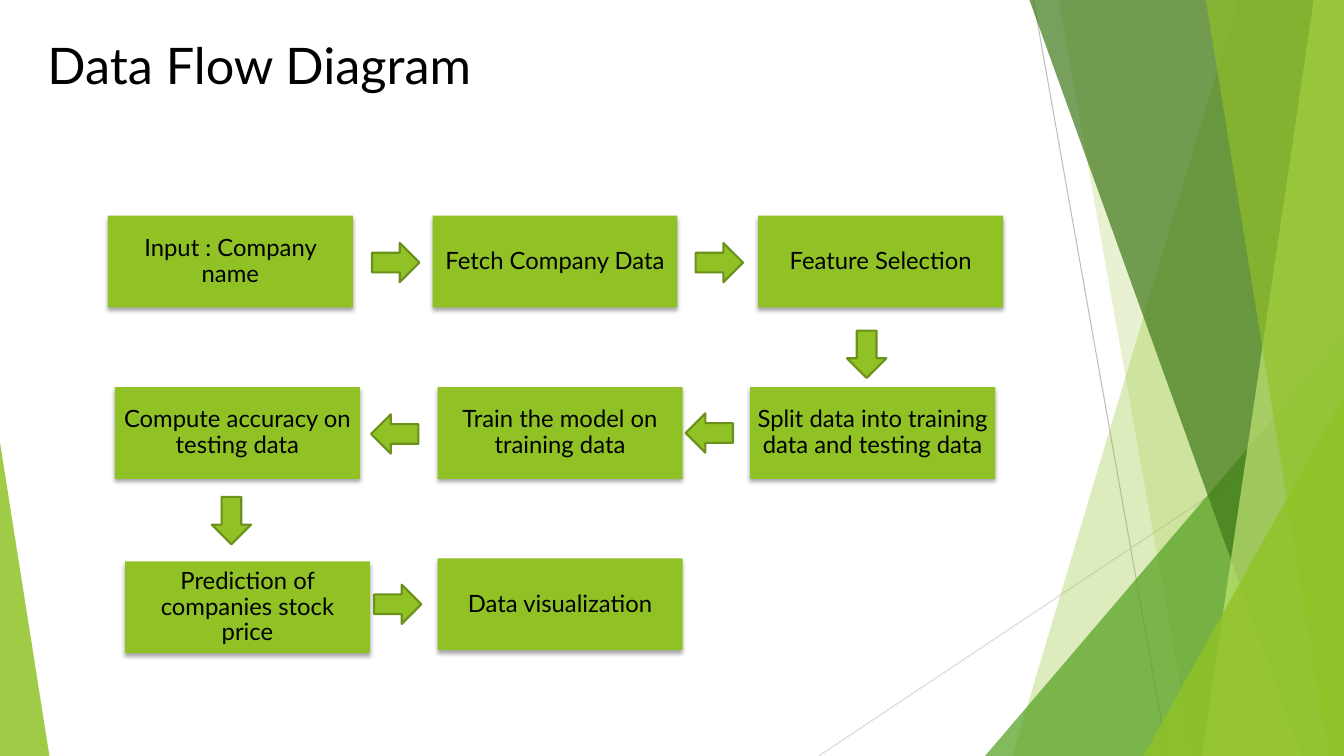
from typing import NamedTuple

from lxml.etree import SubElement as Sub
from pptx import Presentation
from pptx.dml.color import RGBColor as RGB
from pptx.enum.shapes import MSO_CONNECTOR as Link, MSO_SHAPE as Kind
from pptx.enum.text import MSO_ANCHOR as Anchor, PP_ALIGN as Align
from pptx.oxml.ns import qn
from pptx.util import Inches, Pt

LIME = RGB(0x90, 0xC2, 0x26)
EDGE = RGB(0x6B, 0x90, 0x1C)
GREEN = RGB(0x54, 0xA0, 0x21)
DARK = RGB(0x3F, 0x78, 0x19)
PALE = RGB(0xC0, 0xE4, 0x74)
SILVER = RGB(0xBF, 0xBF, 0xBF)
MIST = RGB(0xD9, 0xD9, 0xD9)
BLACK = RGB(0, 0, 0)
WIDE, HIGH = 13.33, 7.5


class Band(NamedTuple):
    """A panel reaching the right slide edge, given by its slanted left side."""
    top: float
    foot: float
    color: RGB
    alpha: int


class Wedge(NamedTuple):
    """A right triangle standing on the slide's bottom edge."""
    left: float
    top: float
    width: float
    peak: int
    color: RGB
    alpha: int


class Step(NamedTuple):
    text: str
    left: float
    top: float


class Arrow(NamedTuple):
    left: float
    top: float
    turn: int = 0


class Ray(NamedTuple):
    x1: float
    y1: float
    x2: float
    y2: float
    color: RGB


RAYS = [Ray(10.25, 0, 11.58, HIGH, SILVER), Ray(WIDE, 4.03, 8.12, HIGH, MIST)]
PANELS = [
    Band(12.28, 10.04, LIME, 30),
    Band(10.5, 11.83, LIME, 20),
    Wedge(9.77, 3.33, 3.56, 1, GREEN, 72),
    Band(10.21, 12.91, DARK, 70),
    Band(13.03, 11.92, PALE, 70),
    Band(11.96, 13.18, LIME, 65),
    Wedge(11.34, 3.93, 1.99, 1, LIME, 80),
    Wedge(0, 4.39, 0.49, 0, LIME, 85),
]
STEPS = [
    Step("Input : Company name", 1.07, 2.14),
    Step("Fetch Company Data", 4.29, 2.14),
    Step("Feature Selection", 7.52, 2.14),
    Step("Split data into training data and testing data", 7.44, 3.84),
    Step("Train the model on training data", 4.34, 3.84),
    Step("Compute accuracy on testing data", 1.14, 3.84),
    Step("Prediction of companies stock price", 1.24, 5.57),
    Step("Data visualization", 4.34, 5.54),
]
ARROWS = [
    Arrow(3.69, 2.41), Arrow(6.9, 2.41), Arrow(8.36, 3.32, 90),
    Arrow(6.8, 4.1, 180), Arrow(3.68, 4.11, 180),
    Arrow(2.06, 4.97, 90), Arrow(3.71, 5.8),
]


def write(shape, text: str, *, size: float, align=Align.LEFT, anchor=Anchor.TOP,
          pad=None, gap: float = 1.0, after: float = 0) -> None:
    frame = shape.text_frame
    frame.text = text
    frame.word_wrap = True
    frame.vertical_anchor = anchor
    if pad is not None:
        frame.margin_left = frame.margin_right = pad
        frame.margin_top = frame.margin_bottom = pad
    para = frame.paragraphs[0]
    para.alignment = align
    para.line_spacing = gap
    para.space_after = Pt(after)
    font = para.runs[0].font
    font.name, font.size, font.color.rgb = "Lato", Pt(size), BLACK


def paint(shape, color: RGB, alpha: int = 100) -> None:
    shape.shadow.inherit = False
    shape.fill.solid()
    shape.fill.fore_color.rgb = color
    shape.line.fill.background()
    if alpha < 100:
        tint = shape.element.spPr.find(qn("a:solidFill"))[0]
        Sub(tint, qn("a:alpha"), val=str(alpha * 1000))


def draw_ray(slide, ray: Ray) -> None:
    line = slide.shapes.add_connector(
        Link.STRAIGHT, Inches(ray.x1), Inches(ray.y1), Inches(ray.x2), Inches(ray.y2))
    line.line.color.rgb = ray.color
    line.line.width = Pt(0.75)
    Sub(line.element.spPr, qn("a:effectLst"))


def draw_band(slide, band: Band) -> None:
    pen = slide.shapes.build_freeform(Inches(band.top), 0)
    ends = [(WIDE, 0), (WIDE, HIGH), (band.foot, HIGH)]
    pen.add_line_segments([(Inches(x), Inches(y)) for x, y in ends], close=True)
    paint(pen.convert_to_shape(), band.color, band.alpha)


def draw_wedge(slide, wedge: Wedge) -> None:
    shape = slide.shapes.add_shape(
        Kind.ISOSCELES_TRIANGLE, Inches(wedge.left), Inches(wedge.top),
        Inches(wedge.width), Inches(HIGH - wedge.top))
    shape.adjustments[0] = wedge.peak
    paint(shape, wedge.color, wedge.alpha)


def draw_step(slide, step: Step) -> None:
    box = slide.shapes.add_shape(
        Kind.RECTANGLE, Inches(step.left), Inches(step.top), Inches(2.43), Inches(0.91))
    paint(box, LIME)
    # Soft shadow below the box
    glow = Sub(box.element.spPr.find(qn("a:effectLst")), qn("a:outerShdw"),
               blurRad=str(Pt(3)), dist=str(Pt(2)), dir="5400000", rotWithShape="0")
    tint = Sub(glow, qn("a:srgbClr"), val=str(BLACK))
    Sub(tint, qn("a:alpha"), val="35000")
    write(box, step.text, size=17, align=Align.CENTER, anchor=Anchor.MIDDLE,
          pad=Inches(0.07), gap=0.9, after=6)


def draw_arrow(slide, arrow: Arrow) -> None:
    shape = slide.shapes.add_shape(
        Kind.RIGHT_ARROW, Inches(arrow.left), Inches(arrow.top), Inches(0.47), Inches(0.39))
    paint(shape, LIME)
    shape.line.color.rgb = EDGE
    shape.line.width = Pt(1.5)
    shape.rotation = arrow.turn


deck = Presentation()
deck.slide_width, deck.slide_height = Inches(WIDE), Inches(HIGH)
slide = deck.slides.add_slide(deck.slide_layouts[5])

# Title
title = slide.shapes.title
title.left, title.top = Inches(0.37), Inches(0.29)
title.width, title.height = Inches(9.4), Inches(1.04)
write(title, "Data Flow Diagram", size=36)

# Side decoration
for ray in RAYS:
    draw_ray(slide, ray)
for panel in PANELS:
    if isinstance(panel, Band):
        draw_band(slide, panel)
    else:
        draw_wedge(slide, panel)

# Flow
for step in STEPS:
    draw_step(slide, step)
for arrow in ARROWS:
    draw_arrow(slide, arrow)

deck.save("out.pptx")
